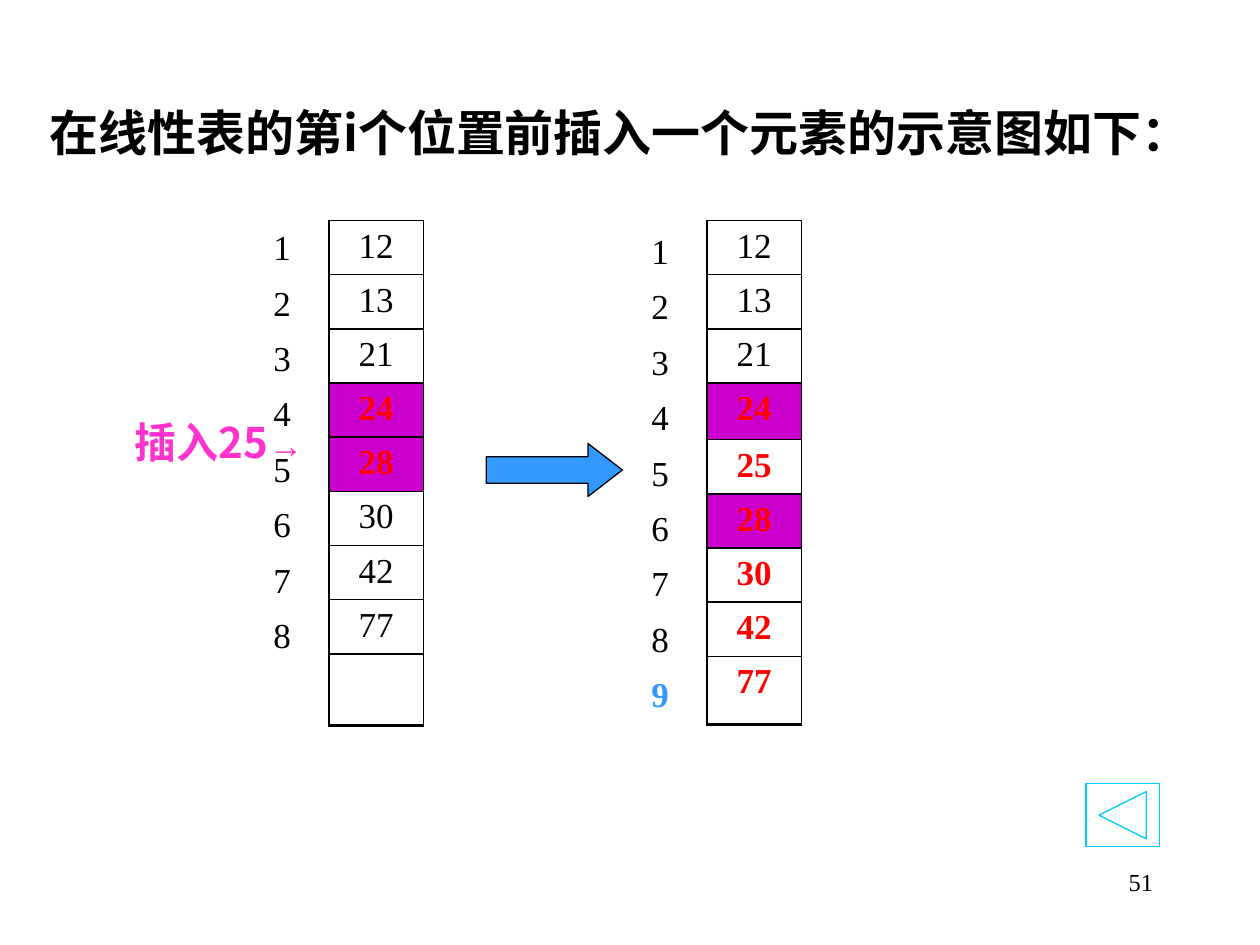
"""Build the slide on inserting an element before position i of a linear list."""
from lxml.etree import SubElement
from pptx import Presentation
from pptx.dml.color import RGBColor
from pptx.enum.shapes import MSO_SHAPE
from pptx.enum.text import MSO_ANCHOR, MSO_AUTO_SIZE, PP_ALIGN
from pptx.oxml.ns import qn
from pptx.util import Inches, Pt

COLORS = {"black": "000000", "white": "FFFFFF", "red": "FF0000", "purple": "CC00CC",
          "blue": "3399FF", "pink": "FF33CC", "cyan": "00CCFF"}
SERIF, HAN = "Times New Roman", "Noto Sans CJK SC"
SLIDE_COLUMNS, SLIDE_ROWS = 10, 7.5
CELL_WIDTH, INDEX_WIDTH, INDEX_HEIGHT = 0.75, 0.42, 0.44

PLAIN = {"name": SERIF, "size": 20, "color": "black", "bold": False}
MARKED = PLAIN | {"color": "red", "bold": True}
NEW_INDEX = PLAIN | {"color": "blue", "bold": True}
HEADING = {"name": HAN, "size": 28, "color": "black", "bold": True}
CALL = {"name": HAN, "size": 24, "color": "pink", "bold": True}
CALL_ARROW = CALL | {"name": SERIF, "size": 20}
PAGE = PLAIN | {"size": 14}

TITLE = "在线性表的第i个位置前插入一个元素的示意图如下："
INSERTION = [("插入25", CALL), ("→", CALL_ARROW)]
LISTS = [
    {"left": 2.61, "index_top": 1.77, "index_count": 8, "tall_rows": {8: 0.57},
     "values": ["12", "13", "21", "24", "28", "30", "42", "77", ""],
     "marked": {"24", "28"}},
    {"left": 5.61, "index_top": 1.8, "index_count": 9, "tall_rows": {3: 0.45, 8: 0.54},
     "values": ["12", "13", "21", "24", "25", "28", "30", "42", "77"],
     "marked": {"24", "25", "28", "30", "42", "77"}},
]
LIST_TOP, LIST_ROW, INDEX_GAP = 1.75, 0.43, 0.58
SHADED = {"24", "28"}


def rgb(name):
    return RGBColor.from_string(COLORS[name])


def place(*box):
    return [Inches(length) for length in box]


def write(paragraph, text, style):
    run = paragraph.add_run()
    run.text = text
    run.font.color.rgb = rgb(style["color"])
    for key, value in {"name": style["name"], "size": Pt(style["size"]),
                       "bold": style["bold"]}.items():
        setattr(run.font, key, value)
    SubElement(run.font._element, qn("a:ea"), typeface=style["name"])


def set_frame(frame, alignment, wrap=True):
    for key, value in {"word_wrap": wrap, "auto_size": MSO_AUTO_SIZE.NONE,
                       "vertical_anchor": MSO_ANCHOR.TOP}.items():
        setattr(frame, key, value)
    frame.paragraphs[0].alignment = alignment
    return frame.paragraphs[0]


def add_text(slide, box, runs, alignment):
    paragraph = set_frame(slide.shapes.add_textbox(*place(*box)).text_frame, alignment)
    for text, style in runs:
        write(paragraph, text, style)


def add_border(cell, side, width):
    border = SubElement(cell._tc.get_or_add_tcPr(), qn(f"a:ln{side}"), w=str(Pt(width)))
    fill = SubElement(border, qn("a:solidFill"))
    SubElement(fill, qn("a:srgbClr"), val=COLORS["black"])


def add_column(slide, left, top, width, heights, entries, boxed):
    table = slide.shapes.add_table(
        len(entries), 1, *place(left, top, width, sum(heights))).table
    table.first_row = table.horz_banding = False
    for number, (height, (text, style, fill)) in enumerate(zip(heights, entries)):
        table.rows[number].height = Inches(height)
        cell = table.cell(number, 0)
        if boxed:
            for side in "LRTB":
                last_edge = side == "B" and number == len(entries) - 1
                add_border(cell, side, 2.25 if last_edge else 1)
        if fill:
            cell.fill.solid()
            cell.fill.fore_color.rgb = rgb(fill)
        else:
            cell.fill.background()
        paragraph = cell.text_frame.paragraphs[0]
        paragraph.alignment = PP_ALIGN.CENTER
        if text:
            write(paragraph, text, style)


def add_list(slide, content):
    values = content["values"]
    entries = [(value, MARKED if value in content["marked"] else PLAIN,
                "purple" if value in SHADED else "white") for value in values]
    heights = [content["tall_rows"].get(row, LIST_ROW) for row in range(len(values))]
    add_column(slide, content["left"], LIST_TOP, CELL_WIDTH, heights, entries, True)
    indexes = [(str(number) if number <= content["index_count"] else "",
                NEW_INDEX if number == 9 else PLAIN, None)
               for number in range(1, len(values) + 1)]
    add_column(slide, content["left"] - INDEX_GAP, content["index_top"], INDEX_WIDTH,
               [INDEX_HEIGHT] * len(values), indexes, False)


def add_symbol(slide, preset, box, line, fill=None):
    symbol = slide.shapes.add_shape(preset, *place(*box))
    symbol.shadow.inherit = False
    symbol.line.color.rgb = rgb(line)
    symbol.line.width = Pt(0.75)
    if fill:
        symbol.fill.solid()
        symbol.fill.fore_color.rgb = rgb(fill)
    else:
        symbol.fill.background()
    return symbol


def main():
    deck = Presentation()
    deck.slide_width, deck.slide_height = place(SLIDE_COLUMNS, SLIDE_ROWS)
    slide = deck.slides.add_slide(deck.slide_layouts[5])
    title = slide.shapes.title
    title.left, title.top, title.width, title.height = place(0.21, 0.76, 9.42, 0.57)
    write(set_frame(title.text_frame, PP_ALIGN.CENTER), TITLE, HEADING)
    for content in LISTS:
        add_list(slide, content)
    add_text(slide, (0.95, 3.26, 1.58, 0.5), INSERTION, PP_ALIGN.CENTER)
    arrow = add_symbol(slide, MSO_SHAPE.RIGHT_ARROW, (3.86, 3.52, 1.08, 0.42), "black", "blue")
    arrow.adjustments[1] = 0.65
    add_symbol(slide, MSO_SHAPE.ACTION_BUTTON_BACK_OR_PREVIOUS, (8.62, 6.22, 0.58, 0.5), "cyan")
    add_text(slide, (7.17, 6.83, 2.08, 0.5), [("51", PAGE)], PP_ALIGN.RIGHT)
    deck.save("out.pptx")


if __name__ == "__main__":
    main()
